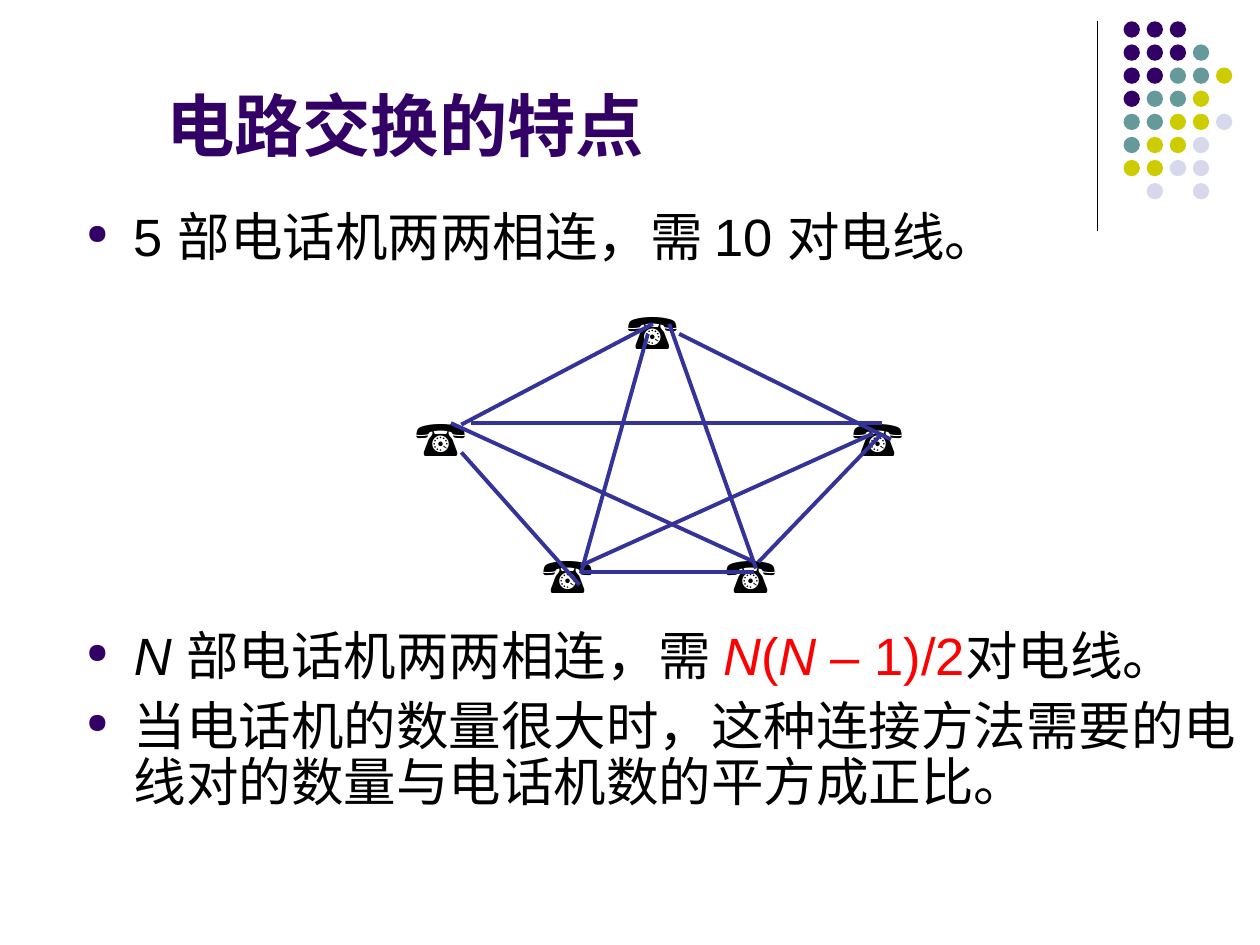
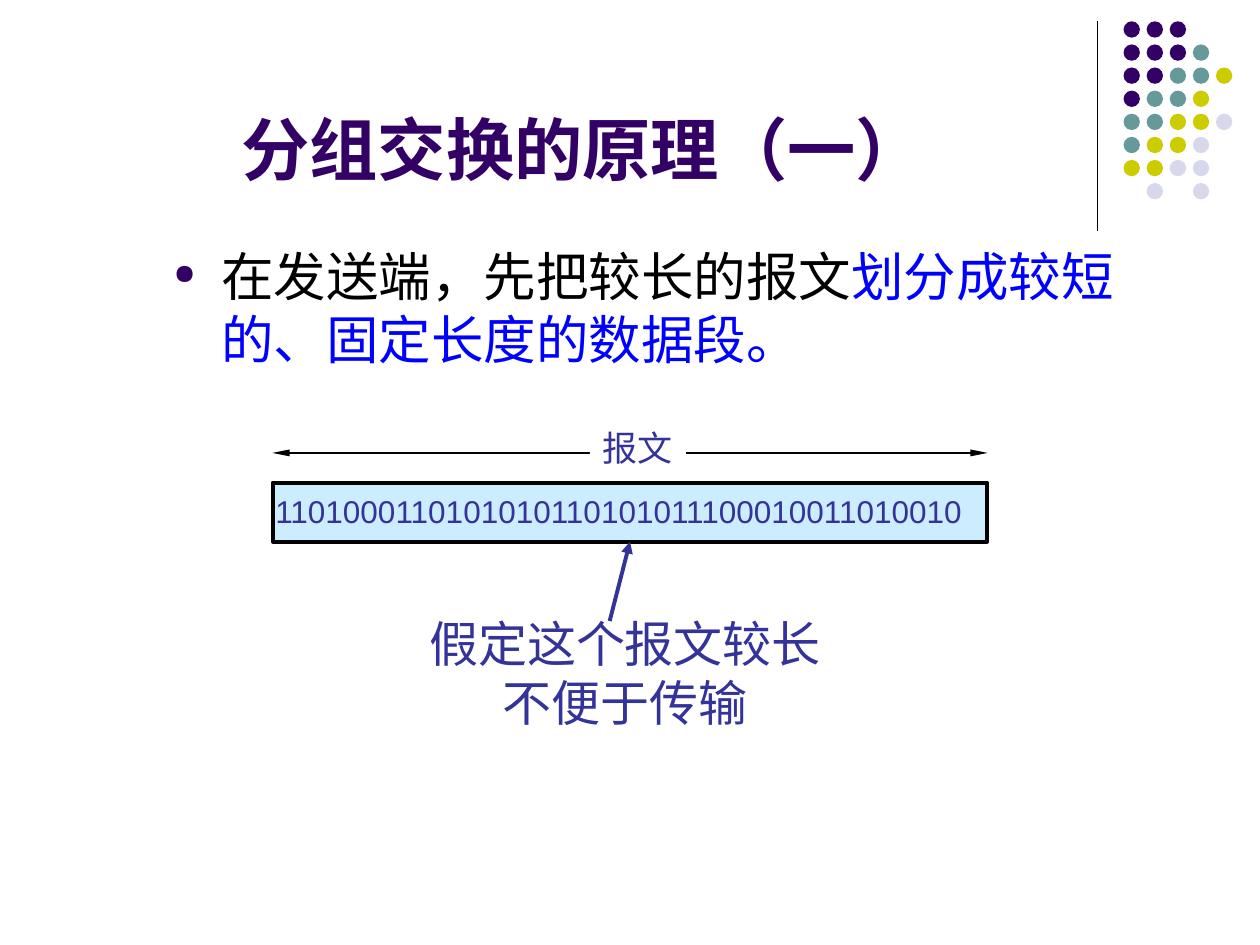
from dataclasses import dataclass
from typing import Optional

import pptx
import pptx.util
import pptx.dml.color
import pptx.enum.shapes
import pptx.enum.text
import pptx.oxml.ns
from lxml import etree

Cm, Pt = pptx.util.Cm, pptx.util.Pt
SHAPE = pptx.enum.shapes.MSO_SHAPE
ALIGN = pptx.enum.text.PP_ALIGN
ANCHOR = pptx.enum.text.MSO_ANCHOR
AUTO = pptx.enum.text.MSO_AUTO_SIZE
qn = pptx.oxml.ns.qn

# Shared look
PURPLE, TEAL, OLIVE, LILAC = "330066", "669999", "CCCC00", "D8D8EC"
BLACK, WHITE, INDIGO, PALE = "000000", "FFFFFF", "333399", "CCECFF"
RED, BLUE = "FF0000", "0000FF"
FONT = "Arial"
THIN, THICK = 0.74, 2.24
DOT_COLORS = {"P": PURPLE, "T": TEAL, "Y": OLIVE, "L": LILAC}
DOT_ROWS = ["PPP", "PPPT", "PPTTY", "PTTY", "TTYYL", "TYYL", "YYLL", ".L.L"]


@dataclass
class Box:
    left: float
    top: float
    width: float
    height: float

    def emu(self) -> list:
        return [Cm(v) for v in (self.left, self.top, self.width, self.height)]


@dataclass
class Run:
    text: str
    color: str = BLACK
    size: float = 30
    font: str = FONT
    bold: bool = False
    italic: bool = False


@dataclass
class Para:
    runs: list
    align: Optional[int] = None
    before: float = 0
    spacing: Optional[float] = None
    bullet: bool = False


@dataclass
class Line:
    x1: float
    y1: float
    x2: float
    y2: float
    color: str = INDIGO
    width: float = THICK


def rgb(color: str) -> pptx.dml.color.RGBColor:
    return pptx.dml.color.RGBColor.from_string(color)


def add_bullet(p) -> None:
    pPr = p._p.get_or_add_pPr()
    pPr.set("marL", str(Cm(0.96)))
    pPr.set("indent", str(-Cm(0.96)))
    pPr.set("hangingPunct", "0")
    clr = etree.SubElement(pPr, qn("a:buClr"))
    etree.SubElement(clr, qn("a:srgbClr"), val=PURPLE)
    etree.SubElement(pPr, qn("a:buSzPct"), val="53000")
    etree.SubElement(pPr, qn("a:buChar"), char="●")


def write(tf, paras: list) -> None:
    for i, para in enumerate(paras):
        p = tf.paragraphs[0] if i == 0 else tf.add_paragraph()
        p.alignment = para.align
        p.space_before = Pt(para.before)
        if para.spacing:
            p.line_spacing = para.spacing
        if para.bullet:
            add_bullet(p)
        for run in para.runs:
            r = p.add_run()
            r.text = run.text
            r.font.name, r.font.size = run.font, Pt(run.size)
            r.font.bold, r.font.italic = run.bold, run.italic
            r.font.color.rgb = rgb(run.color)


def add_text(s, box: Box, paras: list, wrap: bool = True,
             anchor=ANCHOR.TOP, fill: Optional[str] = None) -> None:
    sp = s.shapes.add_textbox(*box.emu())
    if fill:
        sp.fill.solid()
        sp.fill.fore_color.rgb = rgb(fill)
    tf = sp.text_frame
    tf.word_wrap = wrap
    tf.auto_size = AUTO.NONE if wrap else AUTO.SHAPE_TO_FIT_TEXT
    tf.vertical_anchor = anchor
    write(tf, paras)


def add_shape(s, kind, box: Box, fill: Optional[str] = None,
              line: Optional[str] = None) -> None:
    sp = s.shapes.add_shape(kind, *box.emu())
    sp.shadow.inherit = False
    if fill:
        sp.fill.solid()
        sp.fill.fore_color.rgb = rgb(fill)
    else:
        sp.fill.background()
    if line:
        sp.line.color.rgb = rgb(line)
        sp.line.width = Pt(THICK)
    else:
        sp.line.fill.background()


def add_line(s, line: Line, ends: tuple = (), w: str = "med",
             length: str = "med") -> None:
    """ends lists the arrowheads, headEnd before tailEnd."""
    c = s.shapes.add_connector(
        pptx.enum.shapes.MSO_CONNECTOR.STRAIGHT,
        Cm(line.x1), Cm(line.y1), Cm(line.x2), Cm(line.y2))
    c.line.color.rgb = rgb(line.color)
    c.line.width = Pt(line.width)
    ln = c._element.spPr.find(qn("a:ln"))
    for end in ends:
        etree.SubElement(ln, qn("a:" + end),
                         type="triangle", w=w, len=length)
    etree.SubElement(c._element.spPr, qn("a:effectLst"))


def add_slide(prs):
    """Blank slide with the corner rule and dot pattern."""
    s = prs.slides.add_slide(prs.slide_layouts[6])
    s.background.fill.solid()
    s.background.fill.fore_color.rgb = rgb(WHITE)
    add_line(s, Line(22.12, 0.42, 22.12, 4.65, BLACK, THIN))
    pitch = 3.26 / (len(DOT_ROWS) - 1)
    for row, codes in enumerate(DOT_ROWS):
        for col, code in enumerate(codes):
            if code in DOT_COLORS:
                dot = Box(22.65 + col * pitch, 0.43 + row * pitch, 0.33, 0.33)
                add_shape(s, SHAPE.OVAL, dot, DOT_COLORS[code])
    return s


def add_title(s, box: Box, text: str, align=None) -> None:
    run = Run(text, PURPLE, 39, bold=True)
    add_text(s, box, [Para([run], align)], anchor=ANCHOR.BOTTOM)


def item(*runs: Run, before: float = 7.5,
         spacing: Optional[float] = None) -> Para:
    return Para(list(runs), before=before, spacing=spacing, bullet=True)


prs = pptx.Presentation()
prs.slide_width, prs.slide_height = Cm(25.4), Cm(19.05)

# Slide 1: circuit switching
s = add_slide(prs)
add_title(s, Box(3.1, 0.53, 18.8, 2.92), "电路交换的特点")
add_text(s, Box(1.49, 4.13, 23.9, 13.44), [
    item(Run("5 部电话机两两相连，需 10 对电线。"), spacing=0.9),
    # The space before this item leaves room for the phone network
    item(Run("N ", italic=True), Run("部电话机两两相连，需 "),
         Run("N", RED, italic=True), Run("(", RED),
         Run("N", RED, italic=True), Run(" – 1)/2", RED),
         Run("对电线。"), before=207, spacing=0.9),
    item(Run("当电话机的数量很大时，这种连接方法需要的"
             "电线对的数量与电话机数的平方成正比。"), spacing=0.9),
])

# Five phones, each wired to every other
PHONES = [(12.4, 5.93), (8.13, 8.09), (10.69, 10.85),
          (16.94, 8.09), (14.38, 10.85)]
for x, y in PHONES:
    add_text(s, Box(x, y, 1.78, 1.45), [Para([Run("☎ ", size=28)])],
             wrap=False)
WIRES = [
    Line(9.3, 8.56, 13.16, 6.53),
    Line(13.69, 6.73, 17.96, 8.86),
    Line(9.3, 9.12, 11.68, 11.79),
    Line(11.71, 11.53, 15.19, 11.53),
    Line(15.29, 11.33, 17.78, 8.74),
    Line(13.49, 6.53, 15.24, 11.46),
    Line(13.06, 6.73, 11.71, 11.56),
    Line(9.5, 8.53, 17.78, 8.53),
    Line(9.09, 8.53, 15.21, 11.33),
    Line(11.71, 11.4, 17.6, 8.74),
]
for wire in WIRES:
    add_line(s, wire)

# Slide 2: packet switching
s = add_slide(prs)
# Message length arrow and its label
add_line(s, Line(5.49, 9.13, 19.91, 9.13, BLACK, THIN),
         ("headEnd", "tailEnd"), "sm", "lg")
add_text(s, Box(11.89, 8.47, 1.94, 1.12),
         [Para([Run("报文", INDIGO, 20, "Times New Roman")])],
         wrap=False, fill=WHITE)
add_title(s, Box(1.27, 0.33, 20.95, 3.61), "分组交换的原理（一）",
          ALIGN.CENTER)
add_text(s, Box(3.25, 4.8, 20.8, 12.01), [
    item(Run("在发送端，先把较长的报文"),
         Run("划分成较短的、固定长度的数据段。", BLUE)),
])

# Message: three segments in one frame
frame = Box(5.5, 9.73, 14.4, 1.19)
segment = frame.width / 3
for i in range(3):
    add_shape(s, SHAPE.RECTANGLE,
              Box(frame.left + i * segment, frame.top, segment, frame.height),
              PALE)
add_shape(s, SHAPE.RECTANGLE, frame, line=BLACK)
add_text(s, Box(5.3, 9.8, 14.63, 1.02),
         [Para([Run("1101000110101010110101011100010011010010",
                    INDIGO, 18)])], wrap=False)

# Caption pointing at the message
add_text(s, Box(8.35, 12.24, 8.5, 2.64),
         [Para([Run(text, INDIGO, 28, "Cabin")], ALIGN.CENTER)
          for text in ("假定这个报文较长", "不便于传输")], wrap=False)
add_line(s, Line(12.29, 12.52, 12.7, 10.92), ("tailEnd",))

prs.save("out.pptx")
